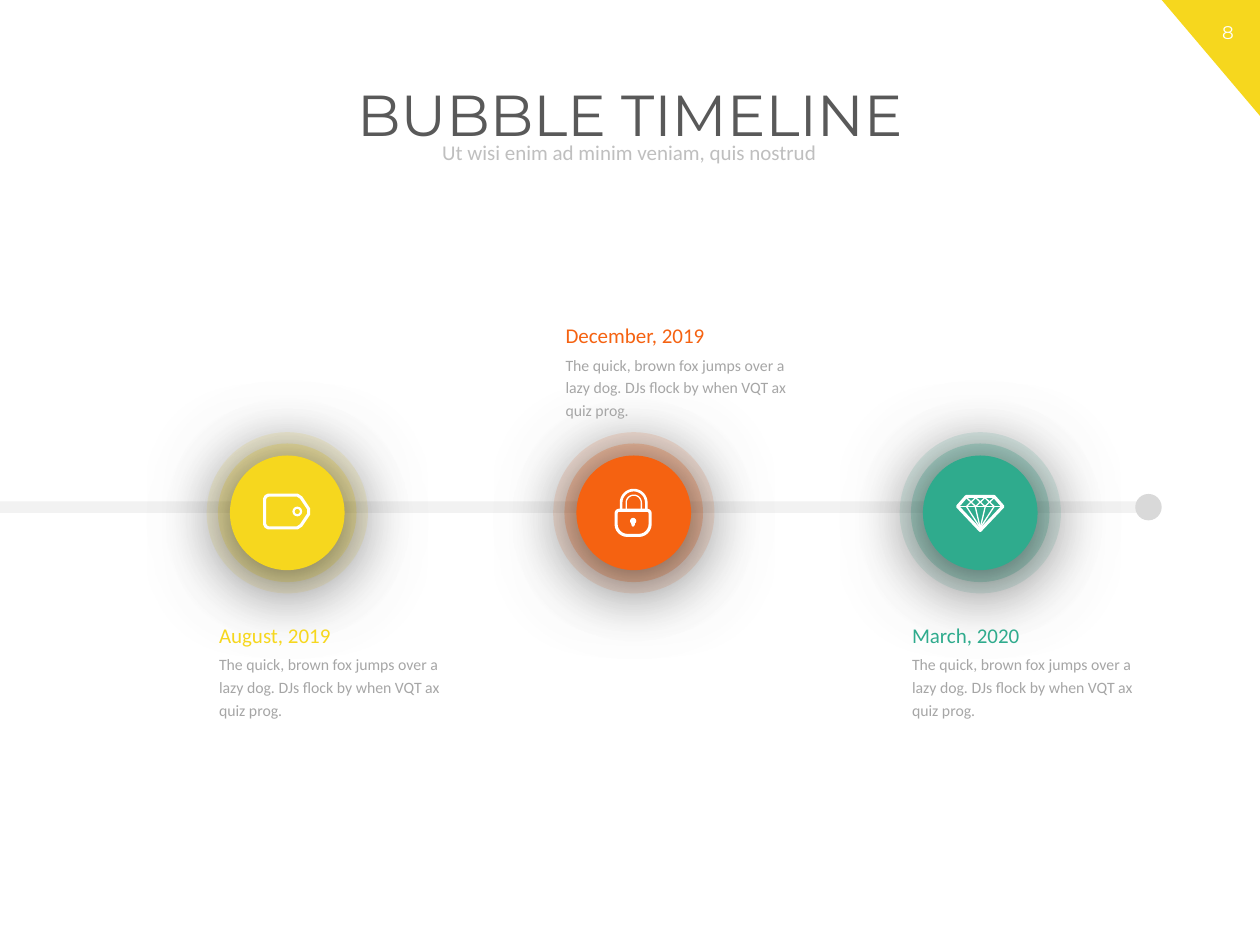
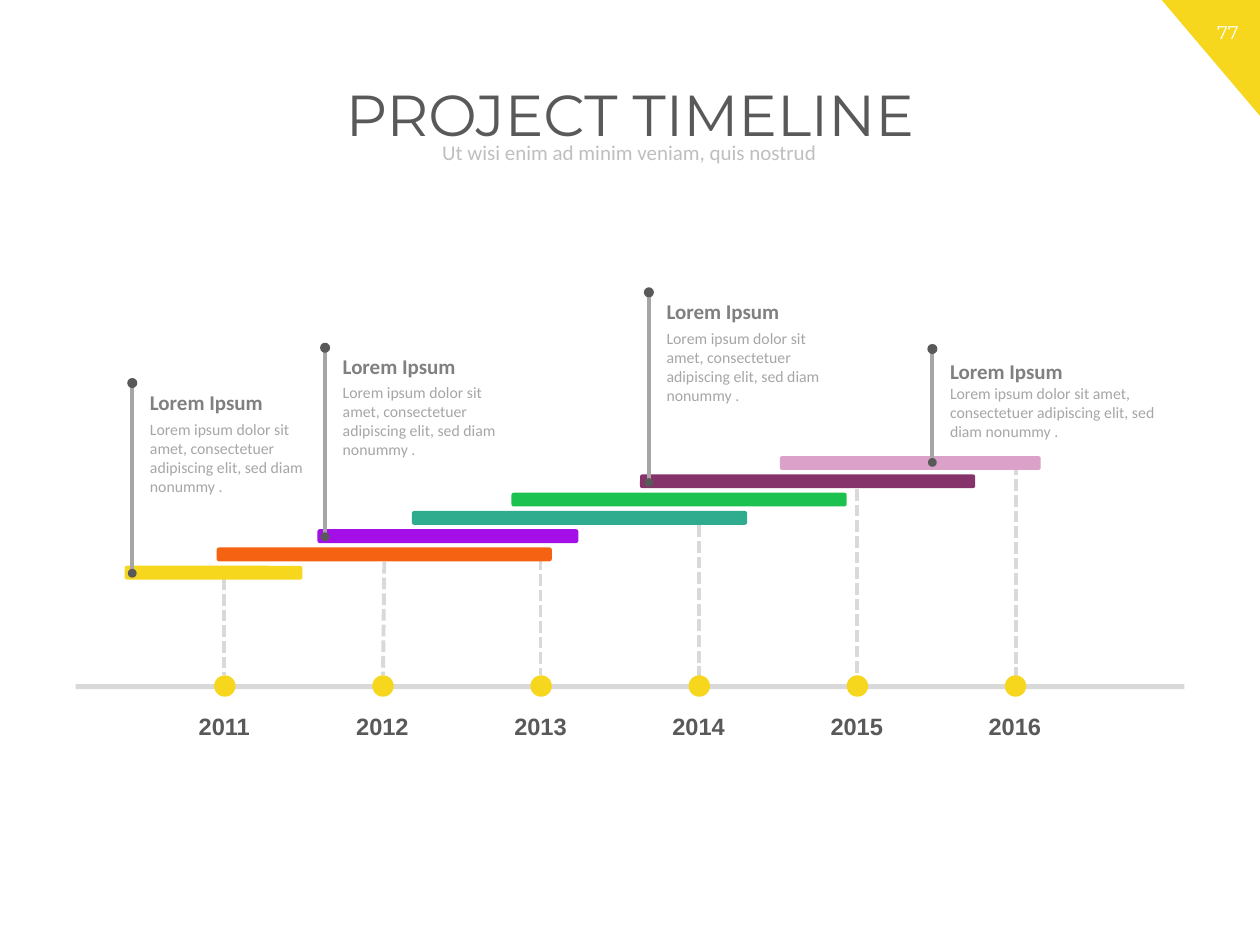
import math
from lxml import etree
from pptx import Presentation
from pptx.dml import color as dml
from pptx.enum import dml as line_kind, shapes, text
from pptx.oxml import ns
from pptx.util import Inches, Pt

HUE = {
    "yellow": "F6D71E", "orange": "F56211", "teal": "2FAB8D", "violet": "A40FE7",
    "green": "1CC24F", "plum": "85336A", "pink": "DBA1C8", "white": "FFFFFF",
    "dark": "595959", "head": "808080", "body": "A6A6A6", "sub": "BFBFBF",
    "rule": "D9D9D9", "track": "F2F2F2",
}
KIND = shapes.MSO_SHAPE
LEFT, MID = text.PP_ALIGN.LEFT, text.PP_ALIGN.CENTER


def form(slide, kind, x, y, w, h, hue):
    """Add a preset shape with a plain fill."""
    shape = slide.shapes.add_shape(kind, Inches(x), Inches(y), Inches(w), Inches(h))
    shape.shadow.inherit = False
    shape.fill.solid()
    shape.fill.fore_color.rgb = dml.RGBColor.from_string(HUE[hue])
    shape.line.fill.background()
    return shape


def write(slide, words, x, y, w, h, size, hue, font="Calibri",
          align=LEFT, bold=False, space=1.0, pad=0.1):
    """Add a text box with one styled paragraph."""
    box = slide.shapes.add_textbox(Inches(x), Inches(y), Inches(w), Inches(h))
    frame = box.text_frame
    frame.word_wrap = True
    frame.margin_left = frame.margin_right = Inches(pad)
    frame.text = words
    para = frame.paragraphs[0]
    para.alignment = align
    para.line_spacing = space
    run = para.runs[0]
    run.font.name = font
    run.font.size = Pt(size)
    run.font.bold = bold
    run.font.color.rgb = dml.RGBColor.from_string(HUE[hue])
    return frame


deck = Presentation()
deck.slide_width, deck.slide_height = Inches(10), Inches(7.5)

# Shared parts: corner, page number, title and subtitle
pages = []
for title, number in [("BUBBLE TIMELINE", "8"), ("PROJECT TIMELINE", "77")]:
    slide = deck.slides.add_slide(deck.slide_layouts[6])
    form(slide, KIND.RIGHT_TRIANGLE, 9.22, 0, 0.78, 0.92, "yellow").rotation = 180
    write(slide, number, 9.49, 0.12, 0.51, 0.28, 10.5, "white", "Montserrat", MID)
    write(slide, title, 0.57, 0.64, 8.86, 0.73, 33, "dark", "Montserrat", MID, space=0.9)
    frame = write(slide, "Ut wisi enim ad minim veniam, quis nostrud",
                  1.39, 1.09, 7.21, 0.26, 12, "sub", align=MID, space=0.9)
    frame.vertical_anchor = text.MSO_ANCHOR.MIDDLE
    pages.append(slide)
bubble, project = pages

# Bubble timeline: track
track = form(bubble, KIND.ROUNDED_RECTANGLE, -0.09, 3.98, 9.22, 0.09, "track")
track.adjustments[0] = 0.5

# Bubbles: three rings each, with a soft shadow, and a dated note
rings = [(1.28, 13, 49), (1.1, 25, 49), (0.91, 100, 64)]
dates = [("August, 2019", "yellow", 4.85), ("December, 2019", "orange", 2.47),
         ("March, 2020", "teal", 4.85)]
for i, (date, hue, top) in enumerate(dates):
    mid = 2.28 + 2.75 * i
    for size, alpha, shade in rings:
        ring = form(bubble, KIND.OVAL, mid - size / 2, 4.07 - size / 2, size, size, hue)
        props = ring.element.spPr
        tint = props.find(ns.qn("a:solidFill"))[0]
        if alpha < 100:
            etree.SubElement(tint, ns.qn("a:alpha"), val=str(alpha * 1000))
        glow = etree.SubElement(props.find(ns.qn("a:effectLst")), ns.qn("a:outerShdw"),
                                blurRad=str(Pt(43)), dist=str(Pt(4)), dir="5400000",
                                algn="ctr", rotWithShape="0")
        black = etree.SubElement(glow, ns.qn("a:srgbClr"), val="000000")
        etree.SubElement(black, ns.qn("a:alpha"), val=str(shade * 1000))
    write(bubble, date, mid - 0.64, top, 2.07, 0.34, 12, hue, space=1.2)
    write(bubble, "The quick, brown fox jumps over a lazy dog. DJs flock by when VQT "
          "ax quiz prog.", mid - 0.64, top + 0.27, 1.95, 0.65, 9, "body", space=1.2)
form(bubble, KIND.OVAL, 9.01, 3.92, 0.21, 0.21, "rule")

# Icon strokes: points, line width, closed
strokes = [
    ([(2.1, 3.96), (2.11, 3.94), (2.13, 3.93), (2.36, 3.93), (2.39, 3.95), (2.45, 4.04),
      (2.45, 4.08), (2.39, 4.17), (2.36, 4.19), (2.13, 4.19), (2.11, 4.18),
      (2.1, 4.16)], 1.75, True),
    ([(7.6, 4.02), (7.67, 3.94), (7.89, 3.94), (7.96, 4.02), (7.78, 4.21)], 1.75, True),
    ([(7.6, 4.02), (7.96, 4.02)], 1, False),
]
for radius, width in [(0.1, 1.5), (0.06, 0.75)]:
    arch = [(5.03 - radius * math.cos(math.pi * k / 16),
             3.99 - radius * math.sin(math.pi * k / 16)) for k in range(17)]
    strokes.append(([(arch[0][0], 4.05)] + arch + [(arch[-1][0], 4.05)], width, False))
for first, last in [(3.95, 4.02), (4.02, 3.95)]:
    facet = [(7.67 + 0.22 * k / 3, (first, last)[k % 2]) for k in range(4)]
    strokes.append((facet, 0.75, False))
for gap in (-0.11, -0.04, 0.04, 0.11):
    strokes.append(([(7.78 + gap, 4.02), (7.78, 4.19)], 0.75, False))

white = dml.RGBColor.from_string(HUE["white"])
outlines = []
for points, width, closed in strokes:
    spots = [(Inches(x), Inches(y)) for x, y in points]
    pen = bubble.shapes.build_freeform(*spots[0])
    pen.add_line_segments(spots[1:], close=closed)
    icon = pen.convert_to_shape()
    icon.shadow.inherit = False
    outlines.append((icon, width))

# Padlock body and keyhole, tag hole
lock = form(bubble, KIND.ROUND_2_SAME_RECTANGLE, 4.89, 4.05, 0.27, 0.2, "orange")
lock.adjustments[0], lock.adjustments[1] = 0.12, 0.45
hole = form(bubble, KIND.OVAL, 2.33, 4.03, 0.06, 0.06, "yellow")
outlines += [(lock, 1.75), (hole, 1.25)]
for icon, width in outlines:
    icon.fill.background()
    icon.line.color.rgb = white
    icon.line.width = Pt(width)
form(bubble, KIND.OVAL, 5.0, 4.11, 0.05, 0.05, "white")
form(bubble, KIND.OVAL, 5.01, 4.13, 0.03, 0.05, "white")

# Project timeline: dashed drops, one per year
rules = []
drops = [(1.78, 4.59, 5.36), (3.05, 4.46, 5.36), (4.29, 4.43, 5.36),
         (5.55, 4.17, 5.38), (6.8, 3.88, 5.38), (8.06, 3.68, 5.42)]
for i, (x, top, base) in enumerate(drops):
    foot = 3.04 if i == 1 else x
    drop = project.shapes.add_connector(shapes.MSO_CONNECTOR.STRAIGHT, Inches(x),
                                        Inches(top), Inches(foot), Inches(base))
    drop.line.dash_style = line_kind.MSO_LINE.SQUARE_DOT
    rules.append((drop, "rule"))

# Axis with years
form(project, KIND.RECTANGLE, 0.6, 5.43, 8.8, 0.04, "rule")
for i in range(6):
    x = 1.7 + 1.255 * i
    form(project, KIND.OVAL, x, 5.36, 0.17, 0.17, "yellow")
    write(project, str(2011 + i), x - 0.4, 5.6, 0.96, 0.33, 13.5, "dark", "Arial",
          MID, bold=True)

# Stepped bars
bars = [(0.99, 1.41, "yellow"), (1.72, 2.66, "orange"), (2.52, 2.07, "violet"),
        (3.27, 2.66, "teal"), (4.06, 2.66, "green"), (5.08, 2.66, "plum"),
        (6.19, 2.07, "pink")]
for i, (x, width, hue) in enumerate(bars):
    form(project, KIND.ROUNDED_RECTANGLE, x, 4.49 - 0.145 * i, width, 0.11, hue)

# Notes on pins: stem, top, base, head, body, width
notes = [(1.05, 3.0, 4.55, 3.04, 3.28, 1.52), (2.58, 2.72, 4.26, 2.76, 2.99, 1.52),
         (5.15, 2.28, 3.83, 2.32, 2.56, 1.52), (7.4, 2.73, 3.67, 2.8, 3.0, 1.95)]
for x, top, base, head, body, width in notes:
    write(project, "Lorem ipsum dolor sit amet, consectetuer adipiscing elit, sed diam "
          "nonummy .", x + 0.05, body, width, 0.71, 9, "body", pad=0.09)
    write(project, "Lorem Ipsum", x + 0.05, head, 1.28, 0.3, 12, "head", bold=True, pad=0.09)
    stem = project.shapes.add_connector(shapes.MSO_CONNECTOR.STRAIGHT, Inches(x),
                                        Inches(base), Inches(x), Inches(top + 0.06))
    rules.append((stem, "body"))
    form(project, KIND.OVAL, x - 0.04, top, 0.08, 0.08, "dark")
    form(project, KIND.OVAL, x - 0.035, base - 0.035, 0.07, 0.07, "dark")

# Line style of drops and stems
for rule, hue in rules:
    rule.line.color.rgb = dml.RGBColor.from_string(HUE[hue])
    rule.line.width = Pt(2.25)
    etree.SubElement(rule.element.spPr, ns.qn("a:effectLst"))

deck.save("out.pptx")
